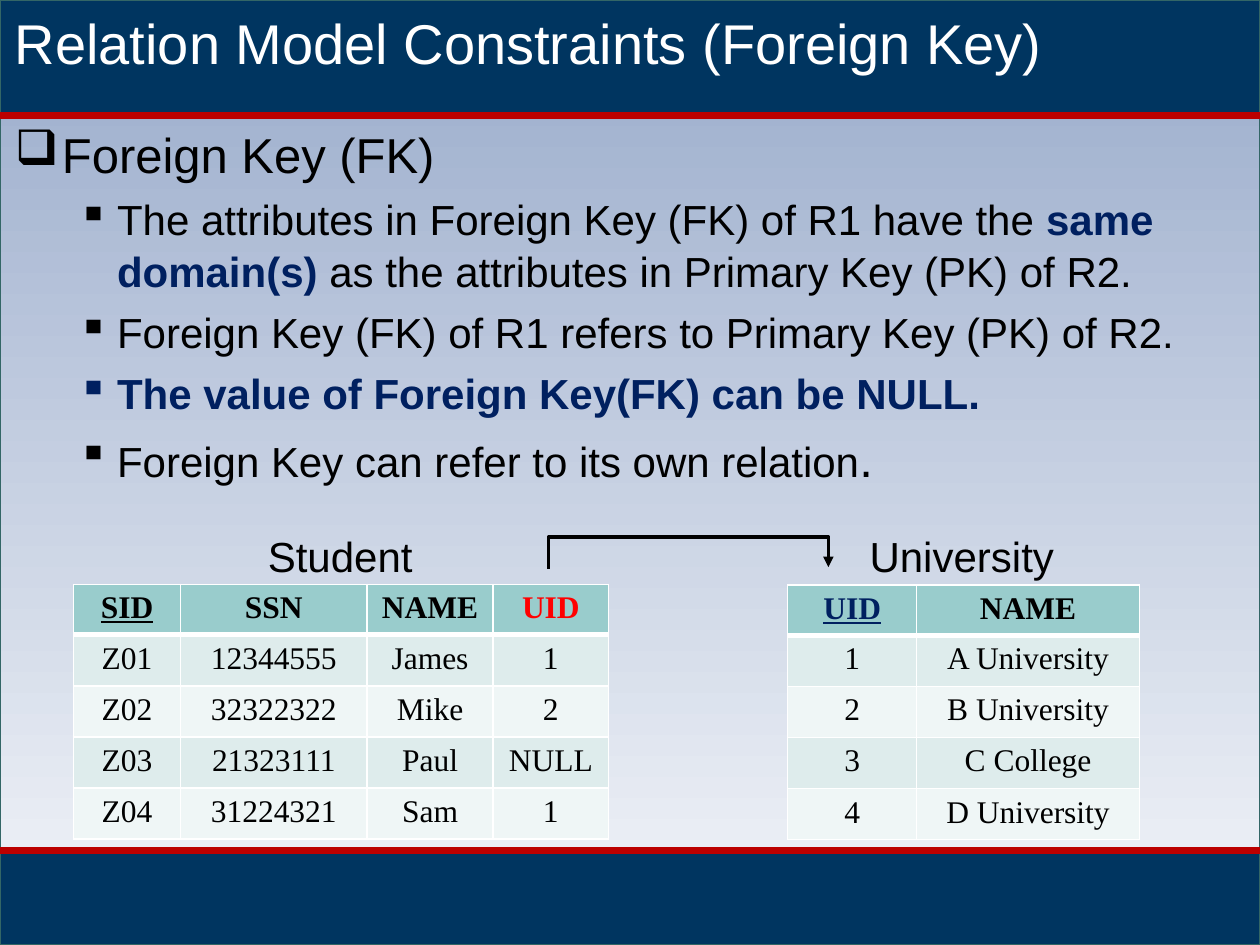
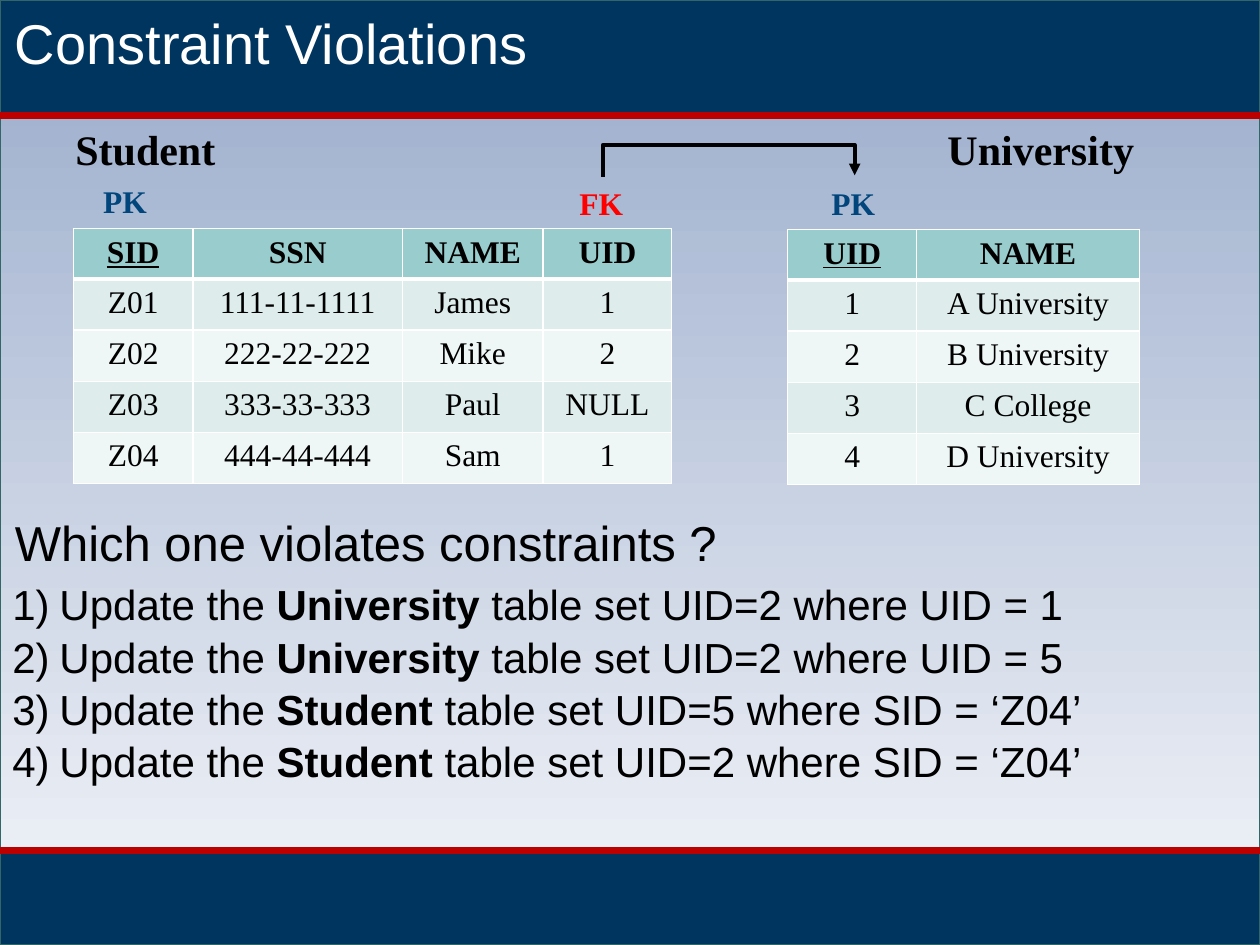
from dataclasses import dataclass

from lxml import etree
from pptx import Presentation
from pptx.dml.color import RGBColor
from pptx.enum.shapes import MSO_CONNECTOR as Connector, MSO_SHAPE as Shape
from pptx.enum.text import PP_ALIGN as Align
from pptx.oxml.ns import qn
from pptx.util import Cm, Pt

WIDTH, HEIGHT = 25.4, 19.05
HEADER_BOTTOM, FOOTER_TOP = 2.33, 17.14


@dataclass(frozen=True)
class Theme:
    sans: str = "Arial"
    serif: str = "Times New Roman"
    black: str = "000000"
    white: str = "FFFFFF"
    red: str = "FF0000"
    navy: str = "002060"
    key_blue: str = "00457C"
    band: str = "003560"
    rule: str = "BC0000"
    outline: str = "336666"
    sky_top: str = "99ABCB"
    sky_bottom: str = "F3F5F9"
    table_head: str = "99CCCC"
    table_rows: tuple = ("DEECEC", "EFF6F6")
    title_size: float = 32
    heading_size: float = 28
    body_size: float = 24
    table_size: float = 18


THEME = Theme()


def rgb(value):
    return RGBColor.from_string(value)


def write(paragraph, text, size=THEME.body_size, font=THEME.sans,
          color=THEME.black, bold=False, underline=False):
    """Add one run of formatted text to a paragraph."""
    run = paragraph.add_run()
    run.text = text
    run.font.size = Pt(size)
    run.font.name = font
    run.font.color.rgb = rgb(color)
    run.font.bold = bold
    run.font.underline = underline


def set_bullet(paragraph, tag, left, hanging, **attributes):
    properties = paragraph._p.get_or_add_pPr()
    properties.set("marL", str(Cm(left)))
    properties.set("indent", str(-Cm(hanging)))
    etree.SubElement(properties, qn(tag), attributes)


def set_borders(cell, color, **widths):
    """Draw the cell's sides; widths in points, keyed L, R, T, B in that order."""
    properties = cell._tc.get_or_add_tcPr()
    for index, (side, width) in enumerate(widths.items()):
        line = etree.Element(qn(f"a:ln{side}"), w=str(Pt(width)))
        fill = etree.SubElement(line, qn("a:solidFill"))
        etree.SubElement(fill, qn("a:srgbClr"), val=color)
        properties.insert(index, line)


class Deck:
    def __init__(self, theme):
        self.theme = theme
        self.presentation = Presentation()
        self.presentation.slide_width = Cm(WIDTH)
        self.presentation.slide_height = Cm(HEIGHT)
        self.slide = None

    def new_slide(self, title):
        """Start a slide with its background, bands, rules and title."""
        theme = self.theme
        layout = self.presentation.slide_layouts[6]
        self.slide = self.presentation.slides.add_slide(layout)

        background = self.rectangle(0, HEIGHT, theme.white)
        background.fill.gradient()
        background.fill.gradient_angle = 270
        stops = background.fill.gradient_stops
        for stop, color in zip(stops, (theme.sky_top, theme.sky_bottom)):
            stop.color.rgb = rgb(color)

        self.rectangle(FOOTER_TOP, HEIGHT - FOOTER_TOP, theme.band)
        self.rectangle(0, HEADER_BOTTOM, theme.band)
        for y in (HEADER_BOTTOM, FOOTER_TOP):
            self.line(Connector.STRAIGHT, (0, y), (WIDTH, y), theme.rule, 3.75)
        self.text(0.05, 0, WIDTH - 0.05, 1.63, title,
                  size=theme.title_size, color=theme.white)

    def rectangle(self, top, height, color):
        """Add a full-width rectangle."""
        shape = self.slide.shapes.add_shape(
            Shape.RECTANGLE, 0, Cm(top), Cm(WIDTH), Cm(height))
        shape.shadow.inherit = False
        shape.fill.solid()
        shape.fill.fore_color.rgb = rgb(color)
        shape.line.color.rgb = rgb(self.theme.outline)
        shape.line.width = Pt(0.75)
        return shape

    def line(self, kind, start, end, color, width):
        connector = self.slide.shapes.add_connector(
            kind, *(Cm(value) for value in (*start, *end)))
        connector.line.color.rgb = rgb(color)
        connector.line.width = Pt(width)
        etree.SubElement(connector._element.spPr, qn("a:effectLst"))
        return connector

    def key_arrow(self, left, right, y, width):
        """Lead from one column up, across and down to another."""
        thin, rise = 0.03, 0.64
        middle, reach = (left + right) / 2, (right - left) / 2
        # The elbow is laid out upright, then turned a quarter clockwise.
        connector = self.line(
            Connector.ELBOW, (middle + thin / 2, y + reach),
            (middle - thin / 2, y - reach), self.theme.black, width)
        properties = connector._element.spPr
        properties.find(qn("a:xfrm")).set("rot", str(90 * 60000))
        guides = properties.find(qn("a:prstGeom")).find(qn("a:avLst"))
        etree.SubElement(guides, qn("a:gd"), name="adj1",
                         fmla=f"val {round(100000 * rise / thin)}")
        etree.SubElement(properties.find(qn("a:ln")), qn("a:tailEnd"),
                         type="triangle")

    def text_frame(self, left, top, width, height, wrap=True):
        box = self.slide.shapes.add_textbox(
            Cm(left), Cm(top), Cm(width), Cm(height))
        box.text_frame.word_wrap = wrap
        return box.text_frame

    def text(self, left, top, width, height, text, wrap=True, **style):
        frame = self.text_frame(left, top, width, height, wrap)
        paragraph = frame.paragraphs[0]
        paragraph.line_spacing = 1.04
        write(paragraph, text, **style)

    def listing(self, left, top, width, height, items, space=0):
        """Add a list; an item is (level, bullet settings, runs)."""
        frame = self.text_frame(left, top, width, height)
        for index, (level, bullet, runs) in enumerate(items):
            paragraph = frame.add_paragraph() if index else frame.paragraphs[0]
            paragraph.level = level
            paragraph.line_spacing = 1.04
            if index:
                paragraph.space_before = Pt(space)
            set_bullet(paragraph, **bullet)
            for text, style in runs:
                write(paragraph, text, **style)

    def table(self, left, top, columns, rows, header_height=1.01,
              header_colors=None):
        """Add a table whose first column is the underlined primary key."""
        theme, row_height = self.theme, 1.03
        height = header_height + row_height * (len(rows) - 1)
        table = self.slide.shapes.add_table(
            len(rows), len(columns), Cm(left), Cm(top),
            Cm(sum(columns)), Cm(height)).table
        for column, width in zip(table.columns, columns):
            column.width = Cm(width)
        for r, values in enumerate(rows):
            header = r == 0
            table.rows[r].height = Cm(header_height if header else row_height)
            fill = theme.table_head if header else theme.table_rows[(r - 1) % 2]
            for c, value in enumerate(values):
                cell = table.cell(r, c)
                cell.fill.solid()
                cell.fill.fore_color.rgb = rgb(fill)
                set_borders(cell, theme.white, L=1, R=1,
                            T=3 if r == 1 else 1, B=3 if header else 1)
                color = theme.black
                if header and header_colors:
                    color = header_colors.get(value, color)
                paragraph = cell.text_frame.paragraphs[0]
                paragraph.alignment = Align.CENTER
                write(paragraph, value, size=theme.table_size, font=theme.serif,
                      color=color, bold=header, underline=header and c == 0)


# Table contents
UNIVERSITY_COLUMNS = (2.6, 4.49)
UNIVERSITY_ROWS = [("UID", "NAME"), ("1", "A University"), ("2", "B University"),
                   ("3", "C College"), ("4", "D University")]
TABLE_LEFT, UNIVERSITY_LEFT = 1.48, 15.88


def student_rows(numbers):
    ids = ("Z01", "Z02", "Z03", "Z04")
    names = ("James", "Mike", "Paul", "Sam")
    universities = ("1", "2", "NULL", "1")
    return [("SID", "SSN", "NAME", "UID"),
            *zip(ids, numbers, names, universities)]


def foreign_key_slide(deck):
    theme = deck.theme
    deck.new_slide("Relation Model Constraints (Foreign Key)")

    # Definition
    box = dict(tag="a:buChar", left=0.95, hanging=0.95, char="❑")
    square = dict(tag="a:buChar", left=2.06, hanging=0.79, char="▪")
    strong = dict(color=theme.navy, bold=True)
    large = dict(size=theme.heading_size)
    points = [
        [("The attributes in Foreign Key (FK) of R1 have the ", {}),
         ("same domain(s) ", strong),
         ("as the attributes in Primary Key (PK) of R2.", {})],
        [("Foreign Key (FK) of R1 refers to Primary Key (PK) of R2.", {})],
        [("The value of Foreign Key(FK) can be NULL.", strong)],
        [("Foreign Key can refer to its own relation", {}), (".", large)],
    ]
    deck.listing(0.05, HEADER_BOTTOM, WIDTH - 0.05, 7.62,
                 [(0, box, [("Foreign Key (FK)", large)]),
                  *((1, square, runs) for runs in points)], space=4.8)

    # Tables and the reference between them
    numbers = ("12344555", "32322322", "21323111", "31224321")
    deck.table(TABLE_LEFT, 11.78, (2.16, 3.76, 2.54, 2.33),
               student_rows(numbers), header_colors={"UID": theme.red})
    deck.table(UNIVERSITY_LEFT, 11.79, UNIVERSITY_COLUMNS, UNIVERSITY_ROWS,
               header_height=0.95, header_colors={"UID": theme.navy})
    deck.text(5.15, 10.52, 3.45, 1.27, "Student", wrap=False)
    deck.text(17.28, 10.52, 4.27, 1.27, "University", wrap=False)
    deck.key_arrow(11.06, 16.7, 11.45, 2)


def violations_slide(deck):
    theme = deck.theme
    deck.new_slide("Constraint Violations")

    # Tables
    numbers = ("111-11-1111", "222-22-222", "333-33-333", "444-44-444")
    deck.table(TABLE_LEFT, 4.61, (2.41, 4.22, 2.84, 2.59), student_rows(numbers))
    deck.table(UNIVERSITY_LEFT, 4.63, UNIVERSITY_COLUMNS, UNIVERSITY_ROWS)

    # Table names, key labels and the reference between them
    serif = dict(font=theme.serif, bold=True)
    deck.text(1.27, HEADER_BOTTOM, 3.38, 1.27, "Student", wrap=False, **serif)
    deck.text(18.85, HEADER_BOTTOM, 4.37, 1.27, "University", **serif)
    for left, top, label, color in ((1.83, 3.51, "PK", theme.key_blue),
                                    (11.43, 3.56, "FK", theme.red),
                                    (16.51, 3.56, "PK", theme.key_blue)):
        deck.text(left, top, 1.4, 1.02, label, wrap=False,
                  size=theme.table_size, color=color, **serif)
    deck.key_arrow(12.15, 17.23, 3.55, 2.25)

    # Question and choices
    number = dict(tag="a:buAutoNum", left=0.95, hanging=0.95, type="arabicParenR")
    choices = (("University", "UID=2 where UID = 1"),
               ("University", "UID=2 where UID = 5"),
               ("Student", "UID=5 where SID = ‘Z04’"),
               ("Student", "UID=2 where SID = ‘Z04’"))
    deck.listing(0, 11.5, WIDTH, 4.37, [
        (0, number, [("Update the ", {}), (name, dict(bold=True)),
                     (f" table set {change}", {})])
        for name, change in choices])
    deck.text(0.05, 10.16, WIDTH - 0.05, 1.45,
              "Which one violates constraints ?", size=theme.heading_size)


def main():
    deck = Deck(THEME)
    foreign_key_slide(deck)
    violations_slide(deck)
    deck.presentation.save("out.pptx")


if __name__ == "__main__":
    main()
